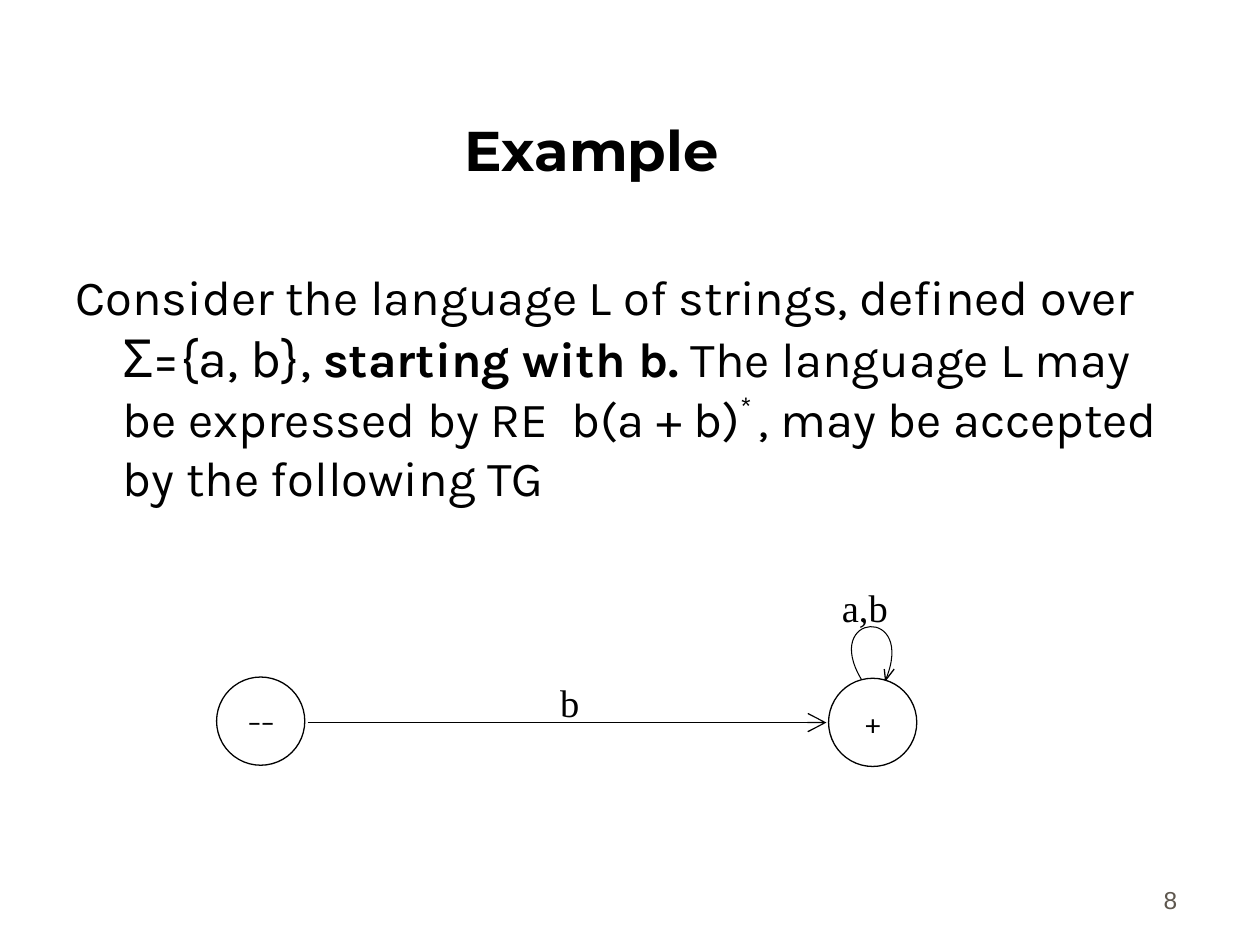
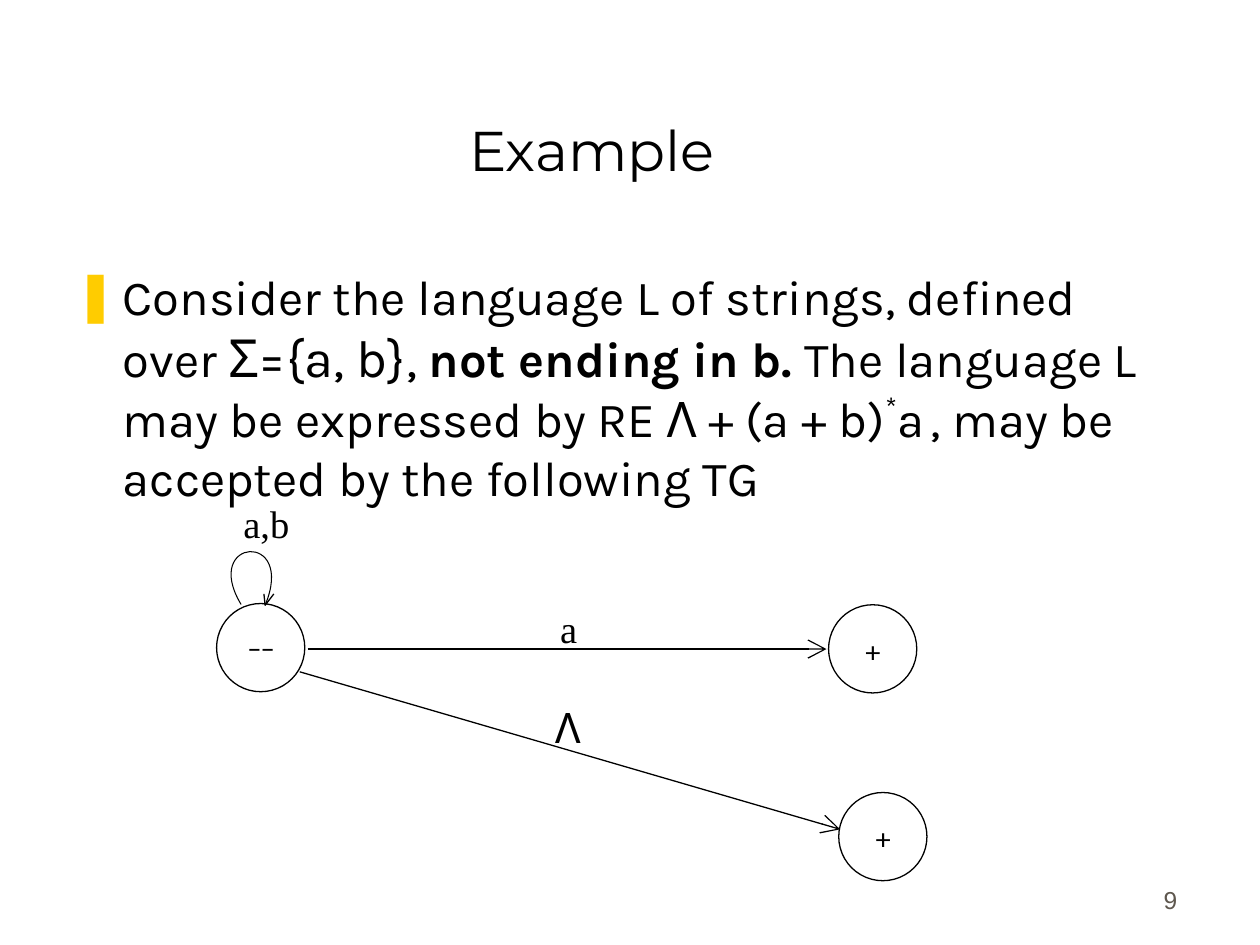
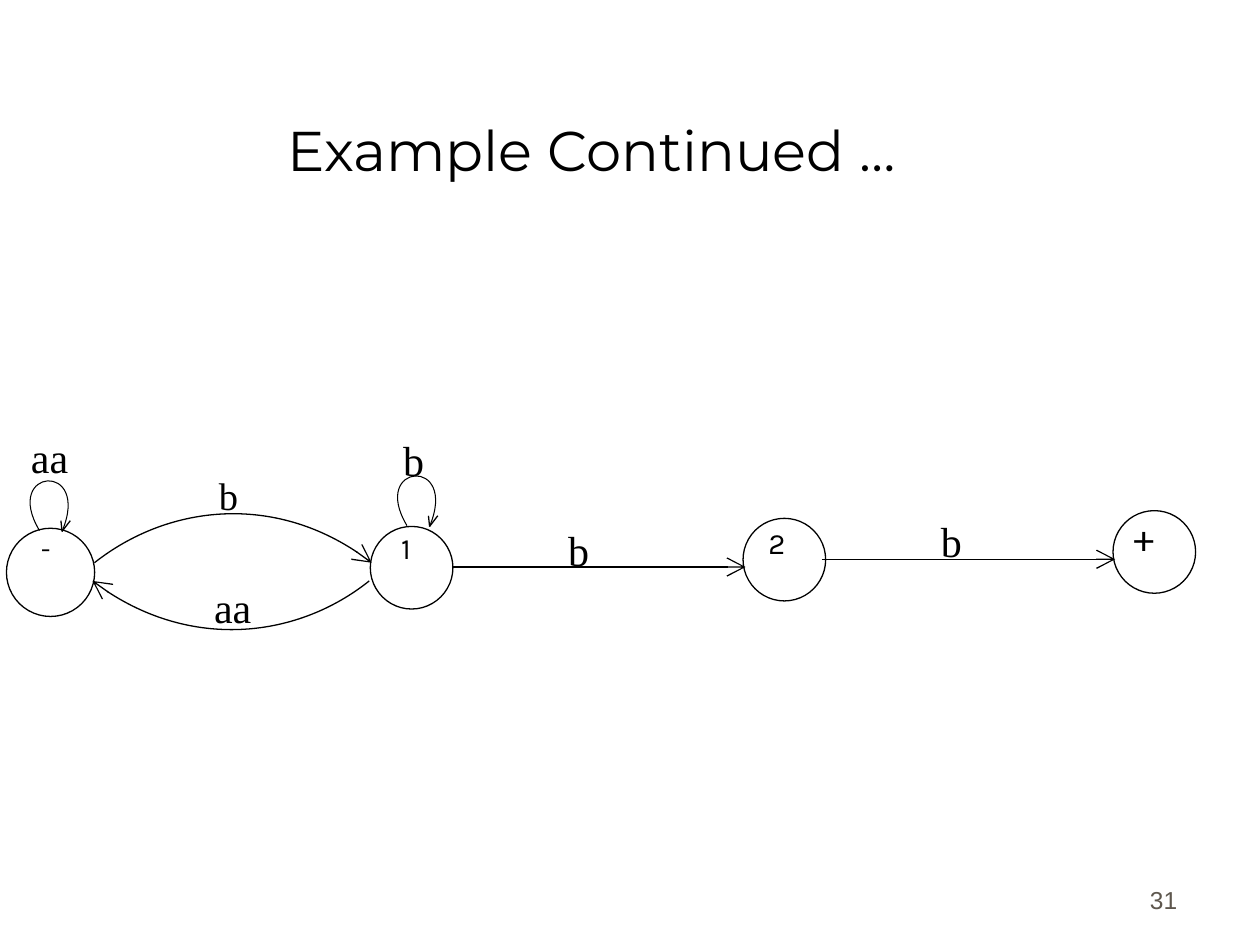
import collections

import pptx
import pptx.dml.color
import pptx.enum.shapes
import pptx.enum.text
import pptx.oxml
import pptx.oxml.ns
import pptx.util

Pt = pptx.util.Pt
Align = pptx.enum.text.PP_ALIGN
Anchor = pptx.enum.text.MSO_ANCHOR

BLACK = pptx.dml.color.RGBColor(0x00, 0x00, 0x00)
WHITE = pptx.dml.color.RGBColor(0xFF, 0xFF, 0xFF)
NUMBER_GREY = pptx.dml.color.RGBColor(0x5E, 0x57, 0x4E)
BULLET_YELLOW = pptx.dml.color.RGBColor(0xFF, 0xCC, 0x00)

TITLE_FONT = "Montserrat"
BODY_FONT = "Karla"
EDGE_FONT = "Times New Roman"
NUMBER_FONT = "Arial"

Box = collections.namedtuple("Box", "left top width height")
TITLE_BOX = Box(32, 18, 612.4, 90)
BODY_BOX = Box(36, 148.6, 643.7, 151.2)
NUMBER_BOX = Box(530, 490.3, 149.8, 36)
STATE_SIZE = 50.4
SMALL_STATE_SIZE = 47.2


def add_xml(parent, tag, **attributes):
    child = pptx.oxml.parse_xml(f"<a:{tag} {pptx.oxml.ns.nsdecls('a')}/>")
    for key, value in attributes.items():
        child.set(key, value)
    parent.append(child)
    return child


def place(shape, box):
    shape.left, shape.top, shape.width, shape.height = (Pt(side) for side in box)


def style_span(span, size, font, color=BLACK, bold=False):
    span.font.size = Pt(size)
    span.font.name = font
    span.font.color.rgb = color
    span.font.bold = bold


def add_label(page, box, text, size, font=EDGE_FONT, align=Align.LEFT,
              anchor=Anchor.TOP, color=BLACK, spacing=None):
    label = page.shapes.add_textbox(*(Pt(side) for side in box))
    frame = label.text_frame
    frame.word_wrap = True
    frame.vertical_anchor = anchor
    frame.text = text
    para = frame.paragraphs[0]
    para.alignment = align
    para.line_spacing = spacing
    style_span(para.runs[0], size, font, color)


def add_edge_label(page, area, x, y, text, size):
    add_label(page, Box(area.left + x, area.top + y, 78.5, 36.7), text, size)


def style_line(shape, width=0.75, arrow=False):
    shape.line.color.rgb = BLACK
    shape.line.width = Pt(width)
    if arrow:
        add_xml(shape.line._get_or_add_ln(), "tailEnd", type="arrow", w="lg", len="lg")


def add_edge(page, area, start, end):
    edge = page.shapes.add_connector(
        pptx.enum.shapes.MSO_CONNECTOR.STRAIGHT,
        Pt(area.left + start[0]), Pt(area.top + start[1]),
        Pt(area.left + end[0]), Pt(area.top + end[1]))
    style_line(edge, arrow=True)
    add_xml(edge._element.spPr, "effectLst")


def add_outline(page, area, points, width=0.75, arrow=False):
    corners = [(Pt(area.left + x), Pt(area.top + y)) for x, y in points]
    builder = page.shapes.build_freeform(*corners[0])
    builder.add_line_segments(corners[1:], close=False)
    outline = builder.convert_to_shape()
    outline.shadow.inherit = False
    outline.fill.background()
    style_line(outline, width, arrow)
    return outline


def add_curve(page, area, controls, width=0.75, arrow=False):
    outline = add_outline(page, area, controls, width, arrow)
    segments = outline._element.spPr.findall(".//" + pptx.oxml.ns.qn("a:lnTo"))
    curve = add_xml(segments[0].getparent(), "cubicBezTo")
    for segment in segments:
        curve.append(segment[0])
        segment.getparent().remove(segment)


def add_loop(page, area, x, y, scale=1.0):
    def scaled(points):
        return [(x + scale * dx, y + scale * dy) for dx, dy in points]

    tip = (13.7, 0.5)
    add_curve(page, area, scaled([(0, 0), (-23, -38.2), (31.7, -42.5), tip]), 0.6)
    for barb in [(13, -6), (18.7, -6)]:
        add_outline(page, area, scaled([barb, tip]))


def add_state(page, area, x, y, size=STATE_SIZE):
    state = page.shapes.add_shape(
        pptx.enum.shapes.MSO_SHAPE.OVAL,
        *(Pt(side) for side in (area.left + x, area.top + y, size, size)))
    state.shadow.inherit = False
    state.fill.solid()
    state.fill.fore_color.rgb = WHITE
    style_line(state)


def add_marked_state(page, area, x, y, mark):
    add_state(page, area, x, y)
    add_label(page, Box(area.left + x - 9.8, area.top + y, STATE_SIZE + 20, STATE_SIZE),
              mark, 16, BODY_FONT, Align.CENTER, Anchor.MIDDLE)


def add_page(deck, layout, title, number, bold=False):
    page = deck.slides.add_slide(deck.slide_layouts[layout])
    add_label(page, NUMBER_BOX, number, 14, NUMBER_FONT, Align.RIGHT, Anchor.BOTTOM, NUMBER_GREY)
    heading = page.shapes.title
    place(heading, TITLE_BOX)
    heading.text_frame.text = title
    heading.text_frame.vertical_anchor = Anchor.BOTTOM
    para = heading.text_frame.paragraphs[0]
    para.alignment = Align.CENTER
    style_span(para.runs[0], 32, TITLE_FONT, bold=bold)
    return page


def fill_body(page, condition, expression, raised_pieces, bullet):
    body = page.placeholders[1]
    place(body, BODY_BOX)
    frame = body.text_frame
    frame.auto_size = pptx.enum.text.MSO_AUTO_SIZE.NONE
    para = frame.paragraphs[0]
    para.space_before = Pt(7)
    properties = para._p.get_or_add_pPr()
    properties.set("marL", str(Pt(27)))
    properties.set("indent", str(-Pt(27)))
    if bullet:
        color = add_xml(properties, "buClr")
        add_xml(color, "srgbClr", val=str(BULLET_YELLOW))
        add_xml(properties, "buChar", char="❚")
    else:
        add_xml(properties, "buNone")
    pieces = [
        ("Consider the language L of strings, defined over ", 28, False, False),
        ("Σ={a, b},", 30, False, False),
        (" ", 28, False, False),
        (condition, 28, True, False),
        ("The language L may be expressed by RE " + expression, 28, False, False),
        *((text, 28, False, raised) for text, raised in raised_pieces),
        (", may be accepted by the following TG", 28, False, False),
    ]
    for text, size, bold, raised in pieces:
        span = para.add_run()
        span.text = text
        style_span(span, size, BODY_FONT, bold=bold)
        if raised:
            span._r.get_or_add_rPr().set("baseline", "40000")


def draw_two_states(page, area, letter, loop, loop_label):
    add_edge(page, area, (52, 26), (348.5, 26))
    add_edge_label(page, area, 189.2, -2.7, letter, 22)
    add_marked_state(page, area, 0, 0, "––")
    add_marked_state(page, area, 349.7, 0.7, "+")
    add_loop(page, area, *loop)
    add_edge_label(page, area, *loop_label, "a,b", 22)


def draw_null_branch(page, area):
    add_marked_state(page, area, 355.5, 108, "+")
    add_edge(page, area, (47.5, 39), (356.3, 129))
    add_label(page, Box(area.left + 186.4, area.top + 52.6, 28.8, 36),
              "Λ", 24, BODY_FONT, Align.CENTER)


def draw_four_states(page, area):
    states = [
        (3.7, 61.9, STATE_SIZE, "-", 15.2, 12.7, 2.2, 0.8),
        (211.6, 60.8, SMALL_STATE_SIZE, "1", 16.8, 10.6, 2.2, 0.8),
        (424.6, 56.2, SMALL_STATE_SIZE, "2", 16.8, 7.4, 4.1, 0.8),
        (636, 51.8, SMALL_STATE_SIZE, "+", 22.2, 4.7, 0.6, 0.9),
    ]
    for x, y, size, mark, mark_size, inset_x, inset_y, spacing in states:
        add_state(page, area, x, y, size)
        add_label(page, Box(area.left + x + inset_x, area.top + y + inset_y, 36, 30),
                  mark, mark_size, BODY_FONT, spacing=spacing)

    add_curve(page, area, [(211, 92), (170.6, 124.3), (105, 132.2), (52.9, 92)], arrow=True)
    add_curve(page, area, [(54, 81.6), (95, 49.2), (160.6, 41), (212.4, 81.6)], arrow=True)
    for x, y in [(22.6, 63.2), (232.6, 60.4)]:
        add_loop(page, area, x, y, 0.94)
    add_edge(page, area, (258.2, 84), (426, 84))
    add_edge(page, area, (469.6, 79.6), (637.2, 79.6))

    edge_labels = [
        (10.6, 3.2, "aa", 24), (118, 26.4, "b", 22), (115.2, 89, "aa", 24),
        (223.2, 4.8, "b", 24), (317.5, 56, "b", 24), (530.6, 50.9, "b", 24),
    ]
    for label in edge_labels:
        add_edge_label(page, area, *label)


def main():
    deck = pptx.Presentation()
    deck.slide_width, deck.slide_height = Pt(720), Pt(540)

    page = add_page(deck, 1, "Example", "8", bold=True)
    fill_body(page, "starting with b. ", " b(a + b)", [("* ", True)], bullet=False)
    draw_two_states(page, Box(123.8, 386.9, 400, 52), "b", (368.5, 1.4), (350.2, -56.7))

    page = add_page(deck, 1, "Example", "9")
    fill_body(page, "not ending in b. ", "Λ + (a + b)",
              [("*", True), ("a", False), (" ", True)], bullet=True)
    area = Box(123.8, 344.9, 406, 159)
    draw_two_states(page, area, "a", (14, 0.5), (8.2, -62.6))
    draw_null_branch(page, area)

    page = add_page(deck, 5, "Example Continued …", "31")
    draw_four_states(page, Box(0, 240, 720, 130))

    deck.save("out.pptx")


if __name__ == "__main__":
    main()
